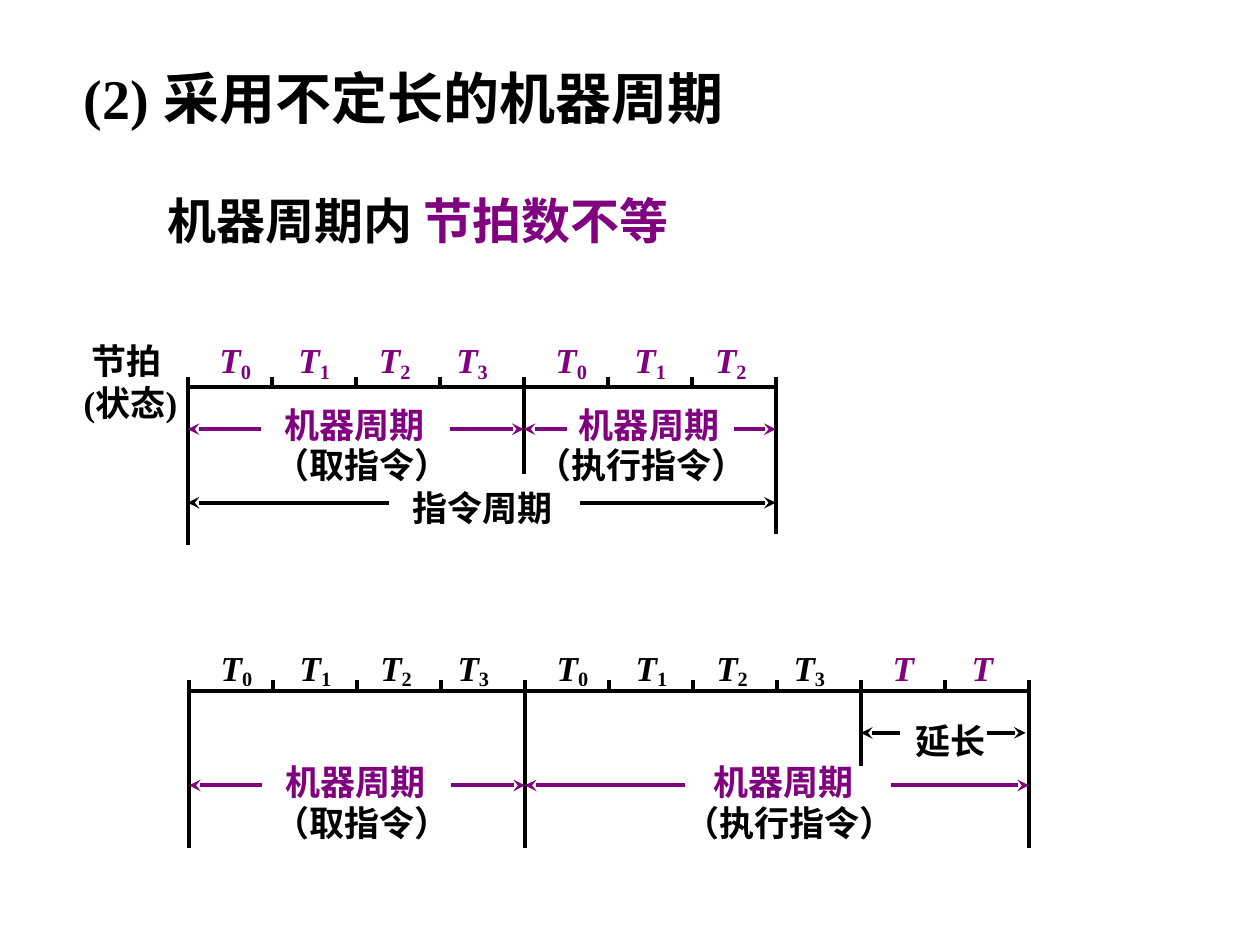
from lxml.etree import SubElement
from pptx import Presentation
from pptx.dml.color import RGBColor
from pptx.enum.shapes import MSO_CONNECTOR
from pptx.enum.text import MSO_ANCHOR, MSO_AUTO_SIZE, PP_ALIGN
from pptx.oxml.ns import qn
from pptx.util import Inches, Pt

BLACK = RGBColor(0x00, 0x00, 0x00)
PURPLE = RGBColor(0x80, 0x00, 0x80)
FONT = "Times New Roman"
COLUMN = 2 / 3  # inches, the length of one beat
ROW = 1 / 12    # inches, the height of one tick
BEAT_LEFTS = (0.23, 1.17, 2.13, 3.05)


def add_text(paragraph, text, size=20, color=BLACK, italic=False, baseline=0):
    run = paragraph.add_run()
    run.text = text
    font = run.font
    font.name, font.size, font.bold, font.italic = FONT, Pt(size), True, italic
    font.color.rgb = color
    if baseline:
        run._r.get_or_add_rPr().set("baseline", str(baseline * 1000))


class TimingSlide:
    def __init__(self, presentation):
        self.slide = presentation.slides.add_slide(presentation.slide_layouts[5])
        self.origin = (0, 0)

    def x(self, column):
        return Inches(self.origin[0] + column * COLUMN)

    def y(self, row):
        return Inches(self.origin[1] + row * ROW)

    def title(self, text, column, row, columns, rows):
        heading = self.slide.shapes.title
        heading.left, heading.top = self.x(column), self.y(row)
        heading.width, heading.height = Inches(columns * COLUMN), Inches(rows * ROW)
        frame = heading.text_frame
        frame.word_wrap = True
        frame.auto_size = MSO_AUTO_SIZE.SHAPE_TO_FIT_TEXT
        frame.vertical_anchor = MSO_ANCHOR.TOP
        frame.paragraphs[0].alignment = PP_ALIGN.LEFT
        add_text(frame.paragraphs[0], text, size=32)

    def box(self, column, row, columns, rows=5.2, wrap=False):
        textbox = self.slide.shapes.add_textbox(
            self.x(column), self.y(row),
            Inches(columns * COLUMN), Inches(rows * ROW))
        frame = textbox.text_frame
        frame.word_wrap = wrap
        frame.auto_size = MSO_AUTO_SIZE.SHAPE_TO_FIT_TEXT
        return frame

    def label(self, text, column, row, color=BLACK):
        columns = (len(text) * 20 / 72 + 0.2) / COLUMN
        add_text(self.box(column, row, columns).paragraphs[0], text, color=color)

    def beat(self, index, row, subscript, color):
        column = index // 4 * 4 + BEAT_LEFTS[index % 4]
        paragraph = self.box(column, row, 0.69 if subscript else 0.55).paragraphs[0]
        add_text(paragraph, "T", color=color, italic=True)
        if subscript:
            add_text(paragraph, subscript, color=color, baseline=-15)

    def line(self, start, end, color=BLACK, arrow=False):
        connector = self.slide.shapes.add_connector(
            MSO_CONNECTOR.STRAIGHT, self.x(start[0]), self.y(start[1]),
            self.x(end[0]), self.y(end[1]))
        connector.line.color.rgb = color
        connector.line.width = Pt(2.25)
        properties = connector._element.spPr
        if arrow:
            SubElement(properties.find(qn("a:ln")), qn("a:tailEnd"), type="stealth")
        SubElement(properties, qn("a:effectLst"))

    def arrow(self, start, end, row, color=BLACK):
        self.line((start, row), (end, row), color, arrow=True)

    def axis(self, beats, depths):
        """Draw the time axis; depths holds the marks longer than one tick."""
        self.line((0, 1), (beats, 1))
        for column in range(beats + 1):
            self.line((column, 0), (column, depths.get(column, 1)))


def draw_headings(page):
    page.title("(2) 采用不定长的机器周期", 0.85, 5.4, 9.6, 7.6)
    subtitle = page.box(1.85, 17.6, 8.27, 6.8, wrap=True).paragraphs[0]
    add_text(subtitle, "机器周期内 ", size=28)
    add_text(subtitle, "节拍数不等", size=28, color=PURPLE)
    beat_caption = page.box(0.85, 31.7, 1.41, 9.2, wrap=True)
    add_text(beat_caption.paragraphs[0], " 节拍")
    add_text(beat_caption.add_paragraph(), "(状态)")


def draw_short_cycle(page):
    page.origin = (1.49, 2.99)
    page.axis(7, {0: 16, 4: 9.3, 7: 15})
    for index, subscript in enumerate("0123012"):
        page.beat(index, -4.2, subscript, PURPLE)
    # Machine cycles
    for start, end in ((0.87, 0), (3.12, 4), (4.51, 4), (6.5, 7)):
        page.arrow(start, end, 5, PURPLE)
    for column, detail_column, detail in ((1, 0.88, "（取指令）"),
                                          (4.51, 4, "（执行指令）")):
        page.label("机器周期", column, 2, PURPLE)
        page.label(detail, detail_column, 5.8)
    # Instruction cycle
    page.arrow(2.4, 0, 12)
    page.arrow(4.67, 7, 12)
    page.label("指令周期", 2.53, 9.85)


def draw_extended_cycle(page):
    page.origin = (1.5, 5.4)
    page.axis(10, {0: 16, 4: 16, 8: 8.2, 10: 16})
    for index, subscript in enumerate("01230123"):
        page.beat(index, -3.85, subscript, BLACK)
    for index in (8, 9):
        page.beat(index, -3.85, "", PURPLE)
    # Machine cycles
    for start, end in ((0.87, 0), (3.12, 4), (5.9, 4), (8.36, 10)):
        page.arrow(start, end, 10, PURPLE)
    for column, detail_column, detail in ((1, 0.87, "（取指令）"),
                                          (6.1, 5.75, "（执行指令）")):
        page.label("机器周期", column, 7.05, PURPLE)
        page.label(detail, detail_column, 10.9)
    # Extension
    page.arrow(8.46, 8, 5)
    page.arrow(9.5, 9.96, 5)
    page.label("延长", 8.5, 3.1)


def main():
    presentation = Presentation()
    presentation.slide_width, presentation.slide_height = Inches(10), Inches(7.5)
    page = TimingSlide(presentation)
    draw_headings(page)
    draw_short_cycle(page)
    draw_extended_cycle(page)
    presentation.save("out.pptx")


if __name__ == "__main__":
    main()
